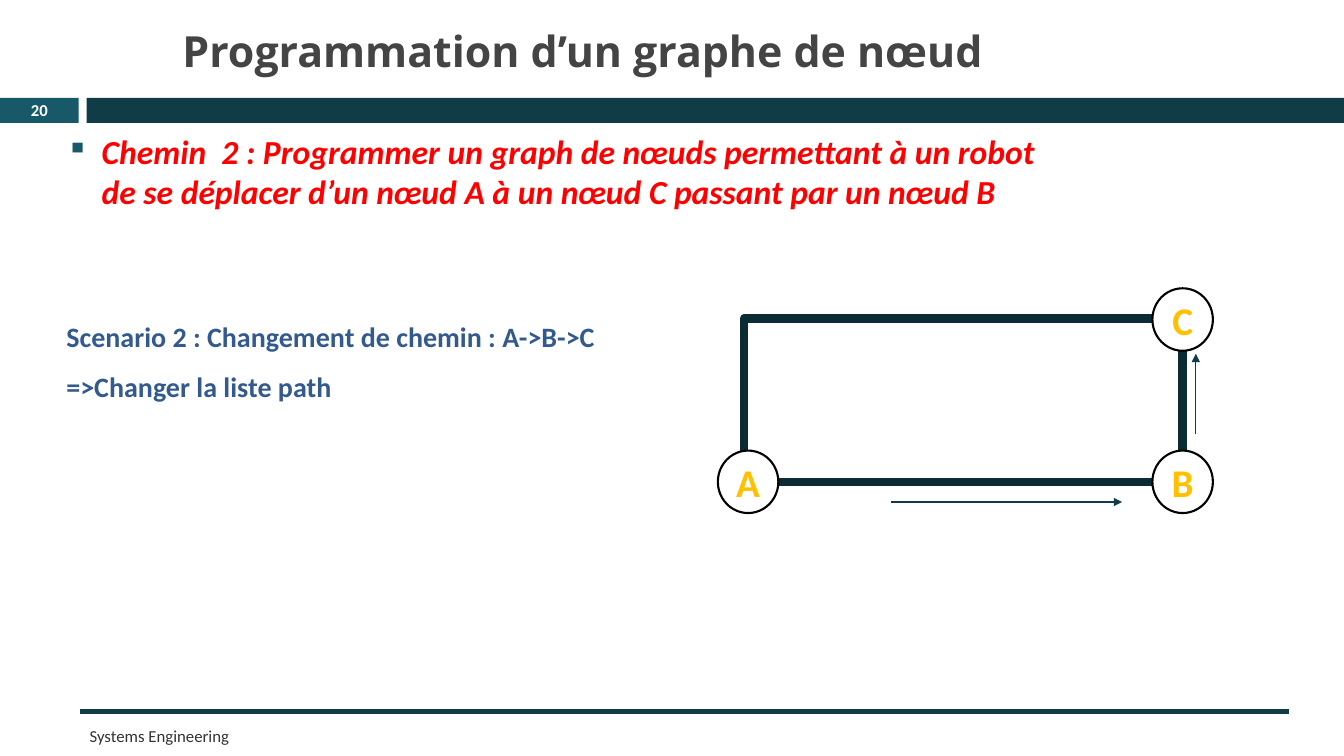
from lxml import etree
from pptx import Presentation
from pptx.dml.color import RGBColor
from pptx.enum.shapes import MSO_CONNECTOR, MSO_SHAPE
from pptx.enum.text import MSO_ANCHOR, PP_ALIGN
from pptx.oxml.ns import qn
from pptx.util import Inches, Pt

RECT, OVAL, STRAIGHT = MSO_SHAPE.RECTANGLE, MSO_SHAPE.OVAL, MSO_CONNECTOR.STRAIGHT
MIDDLE, TOP = MSO_ANCHOR.MIDDLE, MSO_ANCHOR.TOP
LEFT, CENTER, JUSTIFY = PP_ALIGN.LEFT, PP_ALIGN.CENTER, PP_ALIGN.JUSTIFY

# Content
TITLE = "Programmation d’un graphe de nœud"
PAGE_NUMBER = "20"
FOOTER = "Systems Engineering"
TASK = ("Chemin  2 : Programmer un graph de nœuds permettant à un robot "
        "de se déplacer d’un nœud A à un nœud C passant par un nœud B")
SCENARIO = ["Scenario 2 : Changement de chemin : A->B->C", "=>Changer la liste path"]
NODES = {"A": (7.12, 4.47), "C": (11.43, 2.86), "B": (11.43, 4.47)}
NODE_SIZE = (0.6, 0.62)
CIRCUIT = (7.38, 3.16, 4.35, 1.62)
MOVES = [(8.84, 4.98, 11.13, 4.98), (11.86, 4.31, 11.86, 3.51)]
BARS = [((0, 0.97, 0.78, 0.25), "teal"), ((0.86, 0.97, 12.47, 0.25), "dark")]
FOOTER_RULE = (0.79, 7.06, 12.78, 7.06)

COLORS = {"teal": "175969", "dark": "103C47", "circuit": "0C2C35", "title": "444444",
          "footer": "343434", "task": "FF0000", "scenario": "335A8F",
          "node": "FFC000", "white": "FFFFFF", "black": "000000"}


def color(name):
    return RGBColor.from_string(COLORS[name])


def write(shape, lines, size, tint, bold=True, italic=False, font="Calibri",
          align=LEFT, anchor=MIDDLE, wrap=True):
    frame = shape.text_frame
    frame.word_wrap = wrap
    frame.vertical_anchor = anchor
    for index, line in enumerate(lines):
        paragraph = frame.add_paragraph() if index else frame.paragraphs[0]
        paragraph.alignment = align
        run = paragraph.add_run()
        run.text = line
        run.font.name, run.font.size = font, Pt(size)
        run.font.bold, run.font.italic = bold, italic
        run.font.color.rgb = color(tint)
    return frame


def add_text(box, lines, size, tint, **style):
    return write(slide.shapes.add_textbox(*map(Inches, box)), lines, size, tint, **style)


def add_block(kind, box, fill=None, line=None, width=0):
    block = slide.shapes.add_shape(kind, *map(Inches, box))
    block.shadow.inherit = False
    if fill:
        block.fill.solid()
        block.fill.fore_color.rgb = color(fill)
    else:
        block.fill.background()
    if line:
        block.line.color.rgb = color(line)
        block.line.width = Pt(width)
    else:
        block.line.fill.background()
    return block


def add_line(ends, width, arrow=False):
    line = slide.shapes.add_connector(STRAIGHT, *map(Inches, ends))
    line.line.color.rgb = color("dark")
    line.line.width = Pt(width)
    if arrow:
        etree.SubElement(line.line._get_or_add_ln(), qn("a:tailEnd"), type="triangle")
    etree.SubElement(line._element.spPr, qn("a:effectLst"))


deck = Presentation()
deck.slide_width, deck.slide_height = Inches(13.33), Inches(7.5)
slide = deck.slides.add_slide(deck.slide_layouts[5])

# Header and footer
for box, fill in BARS:
    add_block(RECT, box, fill)
add_line(FOOTER_RULE, 4)
add_text((0, 0.96, 0.78, 0.27), [PAGE_NUMBER], 11.9, "white", align=CENTER)
add_text((0.79, 7.14, 7.56, 0.31), [FOOTER], 12, "footer", bold=False)

# Title
title = slide.shapes.title
title.left, title.top, title.width, title.height = map(Inches, (1.71, 0.14, 8.14, 0.71))
write(title, [TITLE], 30.6, "title", font="Open Sans")

# Task with a square bullet
task = add_text((0.56, 1.25, 10.18, 0.91), [TASK], 24, "task", italic=True, anchor=TOP)
bullet = task.paragraphs[0]._p.get_or_add_pPr()
bullet.set("marL", str(Inches(0.35)))
bullet.set("indent", str(-Inches(0.35)))
bullet_color = etree.SubElement(bullet, qn("a:buClr"))
etree.SubElement(bullet_color, qn("a:srgbClr"), val=COLORS["teal"])
etree.SubElement(bullet, qn("a:buSzPct"), val="90000")
etree.SubElement(bullet, qn("a:buChar"), char="▪")

# Node graph with the robot's moves
add_block(RECT, CIRCUIT, line="circuit", width=6)
for name, corner in NODES.items():
    node = add_block(OVAL, corner + NODE_SIZE, "white", "black", 1.5)
    write(node, [name], 28, "node", align=CENTER, wrap=False)
for move in MOVES:
    add_line(move, 0.79, arrow=True)

# Scenario
scenario = add_text((0.56, 2.95, 6.67, 1.06), SCENARIO, 20, "scenario",
                    align=JUSTIFY, anchor=TOP)
for paragraph in scenario.paragraphs:
    paragraph.line_spacing = 1.5

deck.save("out.pptx")
